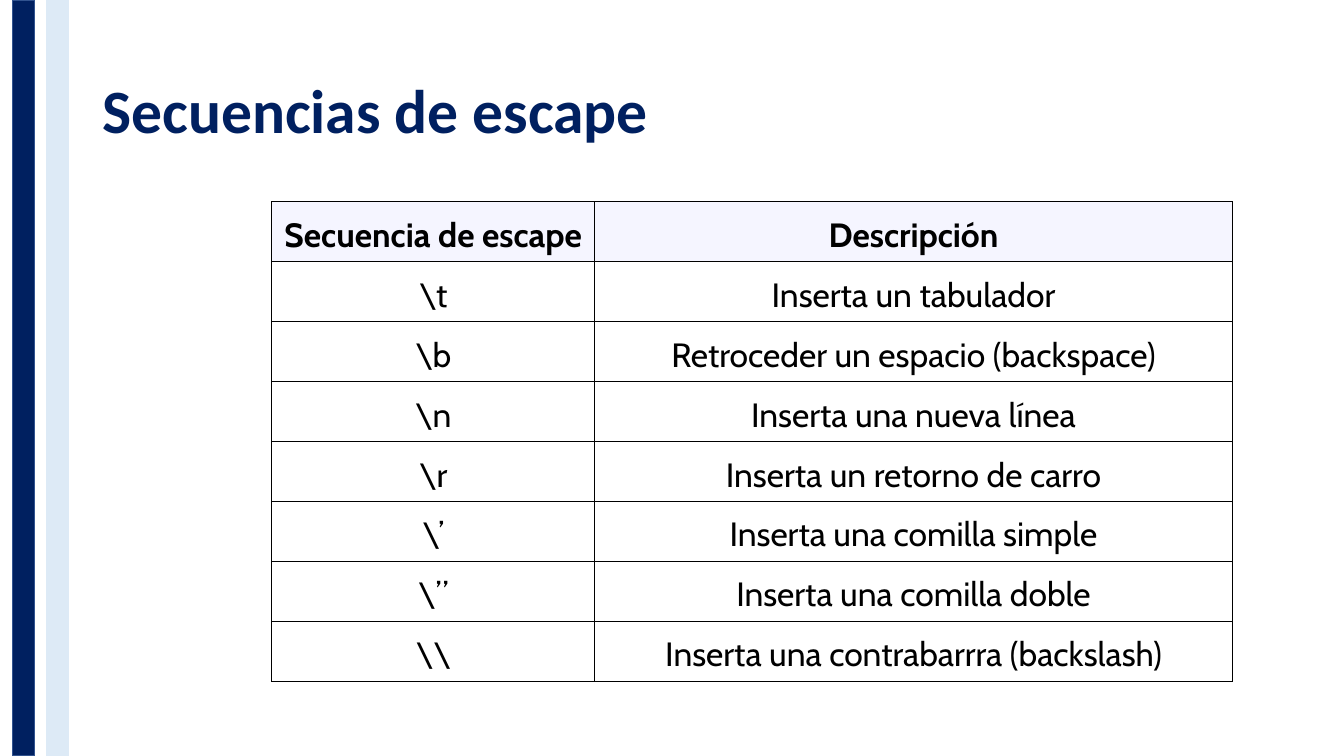
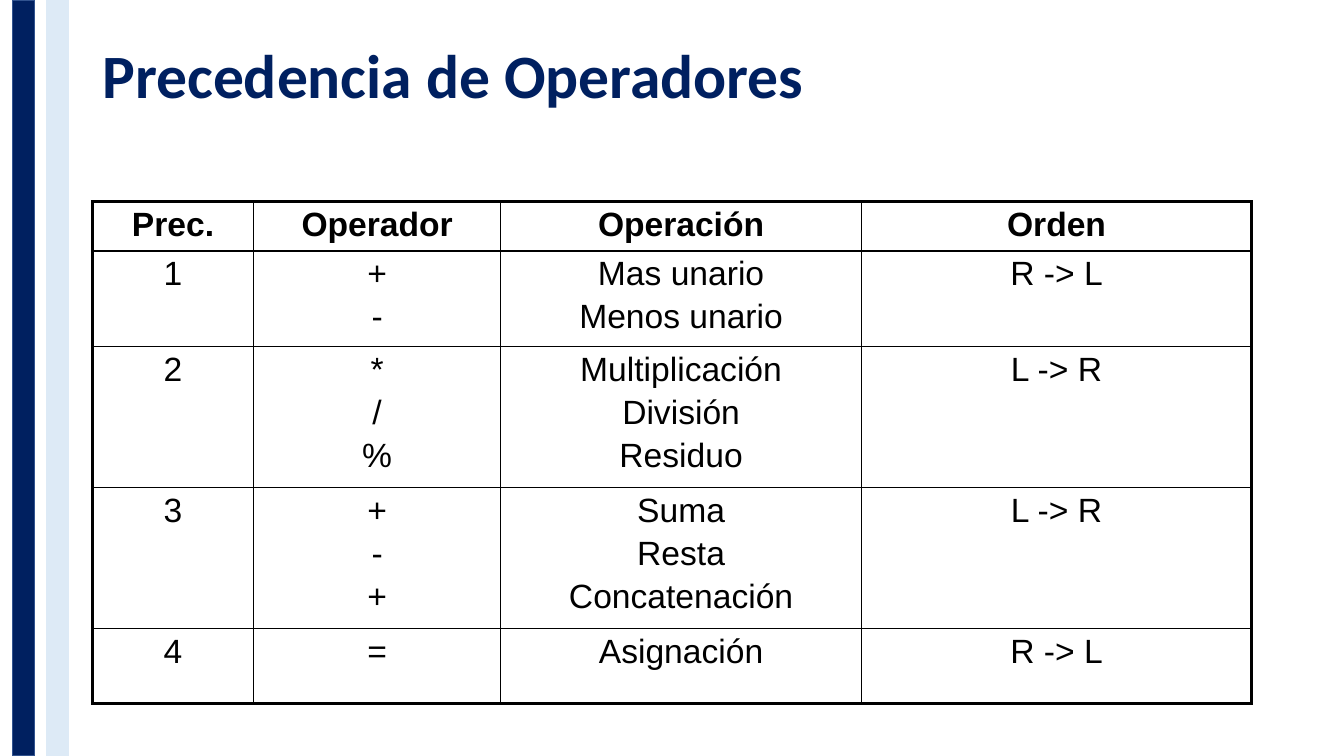
import pptx
import pptx.util
import pptx.dml.color
import pptx.enum.shapes
import pptx.enum.text
import pptx.oxml
import pptx.oxml.ns

Pt = pptx.util.Pt
RGBColor = pptx.dml.color.RGBColor
ANCHOR = pptx.enum.text.MSO_ANCHOR

NAVY = RGBColor(0x00, 0x20, 0x60)
STEEL = RGBColor(0x31, 0x53, 0x8F)
PALE = RGBColor(0xDD, 0xEA, 0xF6)
LILAC = RGBColor(0xF5, 0xF5, 0xFF)
WHITE = RGBColor(0xFF, 0xFF, 0xFF)
BLACK = RGBColor(0x00, 0x00, 0x00)

WIDTH, HEIGHT = 960, 540
BAND_WIDTH = 15.4
BANDS = [(9.1, NAVY, STEEL), (33.5, PALE, PALE)]  # left, fill, line
TITLE_BOX = (66, 28.8, 828, 104.4)
TITLE_FONT = {"name": "Calibri", "size": Pt(44), "bold": True}

SLIDES = [
    {
        "title": "Secuencias de escape",
        "title_anchor": ANCHOR.MIDDLE,
        "rows": [
            ("Secuencia de escape", "Descripción"),
            ("\\t", "Inserta un tabulador"),
            ("\\b", "Retroceder un espacio (backspace)"),
            ("\\n", "Inserta una nueva línea"),
            ("\\r", "Inserta un retorno de carro"),
            ("\\’", "Inserta una comilla simple"),
            ("\\”", "Inserta una comilla doble"),
            ("\\\\", "Inserta una contrabarrra (backslash)"),
        ],
        "left": 194.2, "top": 144,
        "widths": [230.4, 455.8],
        "heights": [42.85] * 8,
        "font": {"name": "Cabin", "size": Pt(24)},
        "anchor": ANCHOR.MIDDLE,
        "margins": (2.2, 5, 2.2, 4.3),
        "line_spacing": 1.15, "space_before": 0,
        "fills": (LILAC, WHITE),
        "inner": 0.75, "outer": 0.75,
    },
    {
        "title": "Precedencia de Operadores",
        "title_anchor": ANCHOR.TOP,
        "rows": [
            ("Prec.", "Operador", "Operación", "Orden"),
            ("1", "+\n-", "Mas unario\nMenos unario", "R -> L"),
            ("2", "*\n/\n%", "Multiplicación\nDivisión\nResiduo", "L -> R"),
            ("3", "+\n-\n+", "Suma\nResta\nConcatenación", "L -> R"),
            ("4", "=", "Asignación", "R -> L"),
        ],
        "left": 66, "top": 144,
        "widths": [115.2, 176.4, 257.8, 278.6],
        "heights": [34, 65.7, 97.1, 97.1, 53.6],
        "font": {"name": "Arial", "size": Pt(24)},
        "anchor": ANCHOR.TOP,
        "margins": (9.4, 3.25, 9.4, 3.25),
        "line_spacing": 1, "space_before": 4,
        "fills": (None, None),
        "inner": 1, "outer": 2.25,
    },
]


def set_attributes(obj, values):
    for name, value in values.items():
        setattr(obj, name, value)


def set_font(font, values, color):
    set_attributes(font, values)
    font.color.rgb = color


def add_bands(slide):
    for left, fill, line in BANDS:
        sp = slide.shapes.add_shape(
            pptx.enum.shapes.MSO_SHAPE.RECTANGLE,
            Pt(left), 0, Pt(BAND_WIDTH), Pt(HEIGHT))
        sp.shadow.inherit = False
        sp.fill.solid()
        sp.fill.fore_color.rgb = fill
        sp.line.color.rgb = line
        sp.line.width = Pt(1)


def add_title(slide, text, anchor):
    tf = slide.shapes.add_textbox(*map(Pt, TITLE_BOX)).text_frame
    set_attributes(tf, {"word_wrap": True, "vertical_anchor": anchor})
    p = tf.paragraphs[0]
    p.line_spacing = 0.9
    r = p.add_run()
    r.text = text
    set_font(r.font, TITLE_FONT, NAVY)


def add_borders(cell, widths):
    """Draw black cell borders; widths maps L, R, T, B to points."""
    tcPr = cell._tc.get_or_add_tcPr()
    for side, width in widths.items():
        tcPr.append(pptx.oxml.parse_xml(
            f'<a:ln{side} {pptx.oxml.ns.nsdecls("a")} w="{int(Pt(width))}">'
            f'<a:solidFill><a:srgbClr val="{BLACK}"/></a:solidFill>'
            f'</a:ln{side}>'))


def fill_cell(cell, text, data, is_header):
    left, top, right, bottom = map(Pt, data["margins"])
    set_attributes(cell, {
        "margin_left": left, "margin_top": top,
        "margin_right": right, "margin_bottom": bottom,
        "vertical_anchor": data["anchor"],
    })
    color = data["fills"][0 if is_header else 1]
    if color is None:
        cell.fill.background()
    else:
        cell.fill.solid()
        cell.fill.fore_color.rgb = color
    tf = cell.text_frame
    for i, line in enumerate(text.split("\n")):
        p = tf.add_paragraph() if i else tf.paragraphs[0]
        p.alignment = pptx.enum.text.PP_ALIGN.CENTER
        p.line_spacing = data["line_spacing"]
        if i:
            p.space_before = Pt(data["space_before"])
        r = p.add_run()
        r.text = line
        set_font(r.font, {**data["font"], "bold": is_header}, BLACK)


def add_grid(slide, data):
    rows, widths, heights = data["rows"], data["widths"], data["heights"]
    last_row, last_col = len(rows) - 1, len(widths) - 1
    table = slide.shapes.add_table(
        len(rows), len(widths), Pt(data["left"]), Pt(data["top"]),
        Pt(sum(widths)), Pt(sum(heights))).table
    set_attributes(table, {"first_row": False, "horz_banding": False})
    for column, width in zip(table.columns, widths):
        column.width = Pt(width)
    for row, height in zip(table.rows, heights):
        row.height = Pt(height)
    for i, texts in enumerate(rows):
        for j, text in enumerate(texts):
            cell = table.cell(i, j)
            on_edge = {"L": j == 0, "R": j == last_col,
                       "T": i == 0, "B": i == last_row}
            add_borders(cell, {side: data["outer" if edge else "inner"]
                               for side, edge in on_edge.items()})
            fill_cell(cell, text, data, i == 0)


def main():
    prs = pptx.Presentation()
    set_attributes(prs, {"slide_width": Pt(WIDTH), "slide_height": Pt(HEIGHT)})
    for data in SLIDES:
        slide = prs.slides.add_slide(prs.slide_layouts[6])
        add_bands(slide)
        add_title(slide, data["title"], data["title_anchor"])
        add_grid(slide, data)
    prs.save("out.pptx")


if __name__ == "__main__":
    main()
